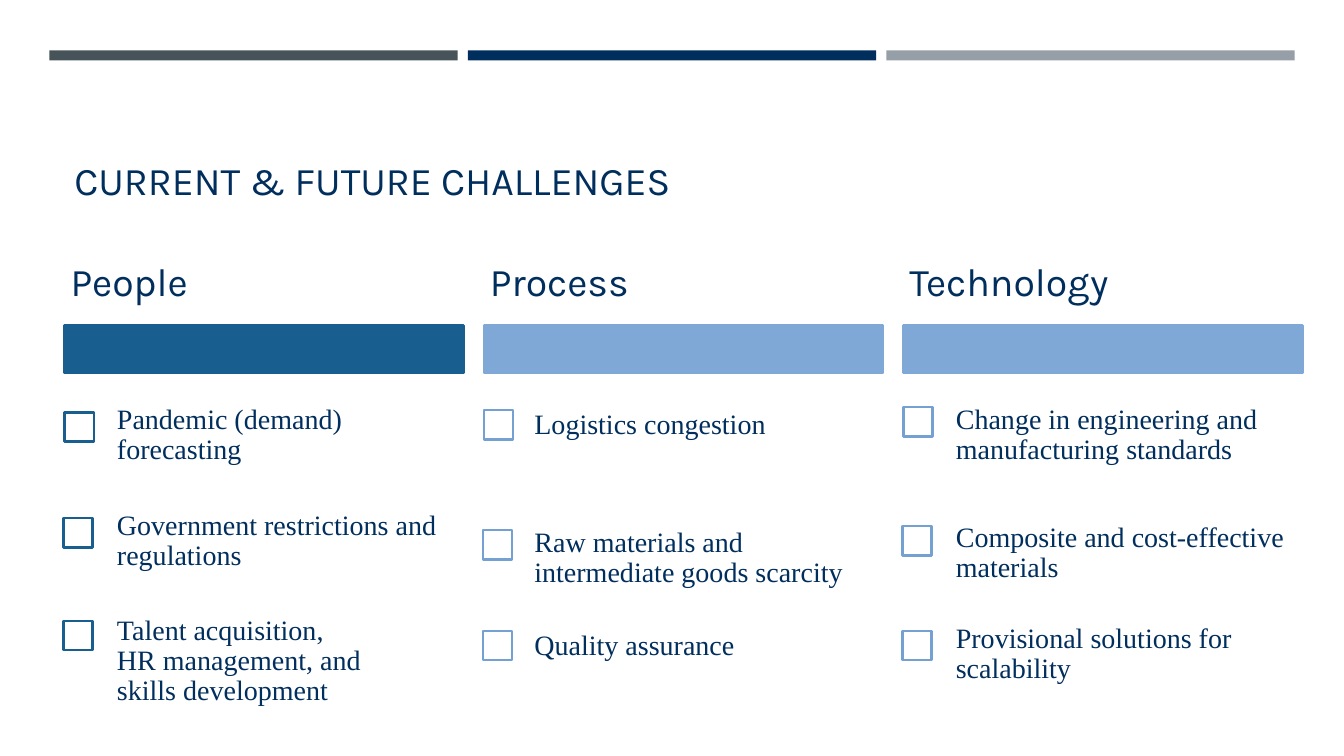
from dataclasses import dataclass

from pptx import Presentation
from pptx.dml.color import RGBColor
from pptx.enum.shapes import MSO_SHAPE
from pptx.enum.text import MSO_ANCHOR
from pptx.slide import Slide
from pptx.util import Inches, Pt

RECTANGLE = MSO_SHAPE.RECTANGLE
MIDDLE = MSO_ANCHOR.MIDDLE
BOTTOM = MSO_ANCHOR.BOTTOM

COLORS = {
    "navy": "002E5D",
    "slate": "465359",
    "gray": "969FA7",
    "blue": "185F90",
    "sky": "7FA8D6",
    "outline": "74A0D2",
    "white": "FFFFFF",
}
HEADING_FONT = "Karla"
BODY_FONT = "Times New Roman"

COLUMN_LEFT = 0.64
COLUMN_PITCH = 4.16
COLUMN_WIDTH = 3.96
STRIPE_LEFT = 0.49
STRIPE_PITCH = 4.15
STRIPE_WIDTH = 4.05
CHECKBOX_SIZE = 0.29
ITEM_WIDTH = 3.68


@dataclass(frozen=True)
class Frame:
    left: float
    top: float
    width: float
    height: float


@dataclass(frozen=True)
class TextStyle:
    font: str
    size: int
    anchor: MSO_ANCHOR
    inset_x: float
    inset_y: float
    line_spacing: float


@dataclass(frozen=True)
class Challenge:
    lines: tuple[str, ...]
    checkbox_left: float
    checkbox_top: float
    text_top: float
    text_height: float = 0.68


@dataclass(frozen=True)
class Column:
    heading: str
    bar_color: str
    checkbox_color: str
    text_left: float
    text_inset: float
    challenges: tuple[Challenge, ...]


TITLE_STYLE = TextStyle(HEADING_FONT, 28, BOTTOM, 0.1, 0.05, 1.0)
HEADING_STYLE = TextStyle(HEADING_FONT, 28, MIDDLE, 0.06, 0.04, 0.9)

STRIPES = ("slate", "navy", "gray")

COLUMNS = (
    Column("People", "blue", "blue", 1.0, 0.16, (
        Challenge(("Pandemic (demand) forecasting",), 0.64, 4.09, 3.98),
        Challenge(("Government restrictions and regulations",), 0.63, 5.14, 5.03),
        Challenge(
            ("Talent acquisition,", "HR management, and", "skills development"),
            0.63, 6.16, 6.08, 0.96,
        ),
    )),
    Column("Process", "sky", "outline", 5.08, 0.22, (
        Challenge(("Logistics congestion",), 4.8, 4.07, 3.88),
        Challenge(("Raw materials and intermediate goods scarcity",), 4.79, 5.26, 5.2),
        Challenge(("Quality assurance",), 4.79, 6.26, 6.07),
    )),
    Column("Technology", "sky", "outline", 9.32, 0.16, (
        Challenge(("Change in engineering and manufacturing standards",), 8.96, 4.04, 3.98),
        Challenge(("Composite and cost-effective materials",), 8.95, 5.22, 5.15),
        Challenge(("Provisional solutions for scalability",), 8.95, 6.26, 6.15),
    )),
)


def color(name: str) -> RGBColor:
    return RGBColor.from_string(COLORS[name])


def add_rectangle(page: Slide, frame: Frame, fill: str, line: str | None = None) -> None:
    box = page.shapes.add_shape(
        RECTANGLE, Inches(frame.left), Inches(frame.top),
        Inches(frame.width), Inches(frame.height),
    )
    box.shadow.inherit = False
    box.fill.solid()
    box.fill.fore_color.rgb = color(fill)
    if line is None:
        box.line.fill.background()
    else:
        box.line.color.rgb = color(line)
        box.line.width = Pt(1.75)


def add_text(page: Slide, frame: Frame, lines: tuple[str, ...], style: TextStyle) -> None:
    box = page.shapes.add_textbox(
        Inches(frame.left), Inches(frame.top), Inches(frame.width), Inches(frame.height),
    )
    body = box.text_frame
    body.word_wrap = True
    body.vertical_anchor = style.anchor
    body.margin_left = body.margin_right = Inches(style.inset_x)
    body.margin_top = body.margin_bottom = Inches(style.inset_y)
    for index, line in enumerate(lines):
        para = body.add_paragraph() if index else body.paragraphs[0]
        para.line_spacing = style.line_spacing
        span = para.add_run()
        span.text = line
        span.font.name = style.font
        span.font.size = Pt(style.size)
        span.font.color.rgb = color("navy")


def add_column(page: Slide, column: Column, left: float) -> None:
    add_rectangle(page, Frame(left, 3.23, COLUMN_WIDTH, 0.47), column.bar_color, column.bar_color)
    add_text(page, Frame(left, 2.4, COLUMN_WIDTH, 0.84), (column.heading,), HEADING_STYLE)
    item_style = TextStyle(BODY_FONT, 20, MIDDLE, column.text_inset, column.text_inset, 0.9)
    for item in column.challenges:
        checkbox = Frame(item.checkbox_left, item.checkbox_top, CHECKBOX_SIZE, CHECKBOX_SIZE)
        add_rectangle(page, checkbox, "white", column.checkbox_color)
        label = Frame(column.text_left, item.text_top, ITEM_WIDTH, item.text_height)
        add_text(page, label, item.lines, item_style)


def main() -> None:
    deck = Presentation()
    deck.slide_width = Inches(13.33)
    deck.slide_height = Inches(7.5)
    page = deck.slides.add_slide(deck.slide_layouts[6])

    for index, stripe in enumerate(STRIPES):
        left = STRIPE_LEFT + index * STRIPE_PITCH
        add_rectangle(page, Frame(left, 0.5, STRIPE_WIDTH, 0.1), stripe)

    add_text(page, Frame(0.64, 0.77, 12.06, 1.3), ("CURRENT & FUTURE CHALLENGES",), TITLE_STYLE)

    for index, column in enumerate(COLUMNS):
        add_column(page, column, COLUMN_LEFT + index * COLUMN_PITCH)

    deck.save("out.pptx")


if __name__ == "__main__":
    main()
